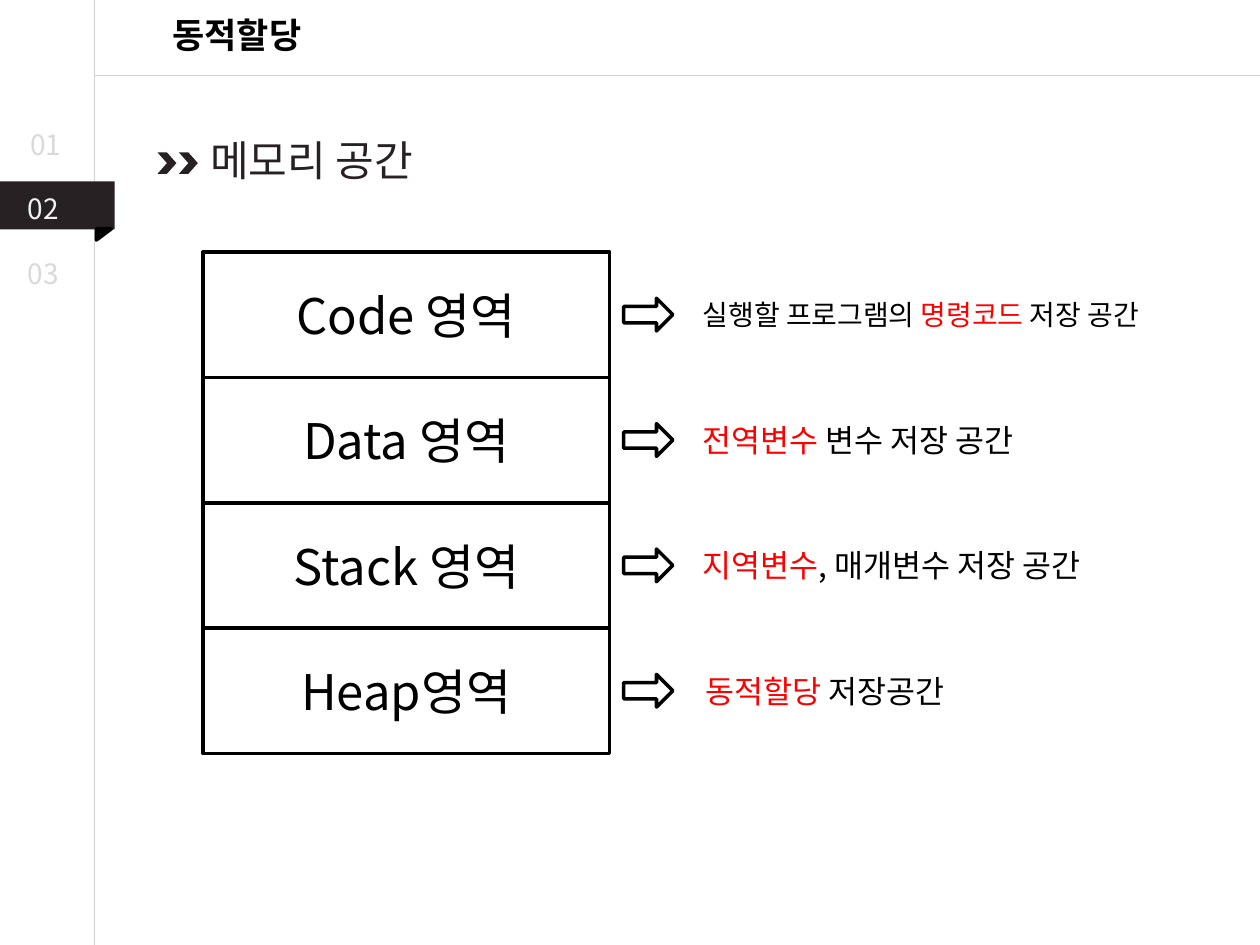
import pptx
import pptx.util
import pptx.dml.color
import pptx.enum.shapes
import pptx.enum.text
import pptx.oxml
import pptx.oxml.ns

Inches, Pt = pptx.util.Inches, pptx.util.Pt
RGB = pptx.dml.color.RGBColor
MSO = pptx.enum.shapes.MSO_SHAPE
ALIGN = pptx.enum.text.PP_ALIGN
ANCHOR = pptx.enum.text.MSO_ANCHOR
AUTO = pptx.enum.text.MSO_AUTO_SIZE

FONT = "Noto Sans CJK KR"
BLACK = RGB(0x00, 0x00, 0x00)
DARK = RGB(0x27, 0x21, 0x23)
RED = RGB(0xFF, 0x00, 0x00)
PALE = RGB(0xD9, 0xD9, 0xD9)
NEAR_WHITE = RGB(0xF2, 0xF2, 0xF2)
RULE = RGB(0xD2, 0xD2, 0xD2)

W, H = 10, 7.5
SIDEBAR = 0.75          # x of the vertical rule
HEADER = 0.6            # y of the horizontal rule
ROW_TOP, ROW_H = 2, 0.995
BOX_X, BOX_W = 1.61, 3.23
ARROW_X, ARROW_W, ARROW_H = 4.95, 0.39, 0.26

# Memory area, description runs, description left, width and text size
AREAS = [
    ("Code 영역", [("실행할 프로그램의 ", BLACK), ("명령코드", RED),
                 (" 저장 공간", BLACK)], 5.48, 4.17, 16),
    ("Data 영역", [("전역변수 ", RED), ("변수 저장 공간", BLACK)], 5.48, 2.99, 18),
    ("Stack 영역", [("지역변수", RED), (", 매개변수 저장 공간", BLACK)], 5.48, 3.58, 18),
    ("Heap영역", [("동적할당 ", RED), ("저장공간", BLACK)], 5.5, 2.31, 18),
]
# Section number, left, top, colour
SECTIONS = [("01", 0.14, 0.96, PALE), ("02", 0.12, 1.47, NEAR_WHITE),
            ("03", 0.12, 1.99, PALE)]


def write(tf, runs, size, color=BLACK, bold=False, align=ALIGN.LEFT,
          anchor=ANCHOR.TOP, wrap=True):
    """Fill a text frame with one paragraph: a string or (text, colour) runs."""
    tf.word_wrap = wrap
    tf.vertical_anchor = anchor
    p = tf.paragraphs[0]
    p.alignment = align
    for text, run_color in [(runs, color)] if isinstance(runs, str) else runs:
        r = p.add_run()
        r.text = text
        r.font.size, r.font.bold, r.font.name = Pt(size), bold, FONT
        r.font.color.rgb = run_color
        ea = pptx.oxml.parse_xml(
            f'<a:ea {pptx.oxml.ns.nsdecls("a")} typeface="{FONT}"/>')
        r.font._element.find(pptx.oxml.ns.qn("a:latin")).addnext(ea)


def add_text(slide, runs, x, y, w, h, **fmt):
    tf = slide.shapes.add_textbox(*map(Inches, (x, y, w, h))).text_frame
    write(tf, runs, **fmt)
    tf.auto_size = AUTO.SHAPE_TO_FIT_TEXT


def add_shape(slide, kind, x, y, w, h, fill=None, line=None):
    sp = slide.shapes.add_shape(kind, *map(Inches, (x, y, w, h)))
    sp.shadow.inherit = False
    if fill is None:
        sp.fill.background()
    else:
        sp.fill.solid()
        sp.fill.fore_color.rgb = fill
    if line is None:
        sp.line.fill.background()
    else:
        sp.line.color.rgb = line
        sp.line.width = Pt(2)
    return sp


def add_rule(slide, x1, y1, x2, y2):
    line = slide.shapes.add_connector(
        pptx.enum.shapes.MSO_CONNECTOR.STRAIGHT, *map(Inches, (x1, y1, x2, y2)))
    line.line.color.rgb = RULE
    line.line.width = Pt(0.75)
    line._element.spPr.append(pptx.oxml.parse_xml(
        f'<a:effectLst {pptx.oxml.ns.nsdecls("a")}/>'))


def add_title(slide, text):
    title = slide.shapes.title
    title.left, title.top, title.width, title.height = map(
        Inches, (0.81, 0.06, 2.14, 0.44))
    write(title.text_frame, text, size=20, bold=True, align=ALIGN.CENTER)
    title.text_frame.auto_size = AUTO.NONE


def add_sidebar(slide):
    # Ribbon behind the current section, with its folded corner
    add_shape(slide, MSO.RECTANGLE, 0, 1.44, 0.91, 0.38, fill=DARK)
    fold = add_shape(slide, MSO.RIGHT_TRIANGLE, 0.78, 1.8, 0.09, 0.12,
                     fill=BLACK, line=BLACK)
    fold.rotation = 90
    for number, x, y, color in SECTIONS:
        add_text(slide, number, x, y, 0.55, 0.37, size=16, color=color)


def add_heading(slide, text):
    for x in (1.25, 1.42):
        add_shape(slide, MSO.CHEVRON, x, 1.21, 0.15, 0.17, fill=DARK)
    add_text(slide, text, 1.57, 1.02, 3.14, 0.5, size=24, color=DARK)


def add_area(slide, row, name, runs, x, w, size):
    """One memory area: box, arrow and description on a shared middle line."""
    top = ROW_TOP + row * ROW_H
    middle = top + ROW_H / 2
    box = add_shape(slide, MSO.RECTANGLE, BOX_X, top, BOX_W, ROW_H, line=BLACK)
    write(box.text_frame, name, size=28, align=ALIGN.CENTER,
          anchor=ANCHOR.MIDDLE)
    add_shape(slide, MSO.RIGHT_ARROW, ARROW_X, middle - ARROW_H / 2,
              ARROW_W, ARROW_H, line=BLACK)
    h = 0.37 if size == 16 else 0.4
    add_text(slide, runs, x, middle - h / 2, w, h, size=size, wrap=False)


def main():
    prs = pptx.Presentation()
    prs.slide_width, prs.slide_height = Inches(W), Inches(H)
    slide = prs.slides.add_slide(prs.slide_layouts[5])

    # Frame and title
    add_rule(slide, SIDEBAR, 0, SIDEBAR, H)
    add_rule(slide, SIDEBAR, HEADER, W, HEADER)
    add_title(slide, "동적할당")
    add_sidebar(slide)

    # Memory layout
    add_heading(slide, "메모리 공간")
    for row, area in enumerate(AREAS):
        add_area(slide, row, *area)

    prs.save("out.pptx")


if __name__ == "__main__":
    main()
